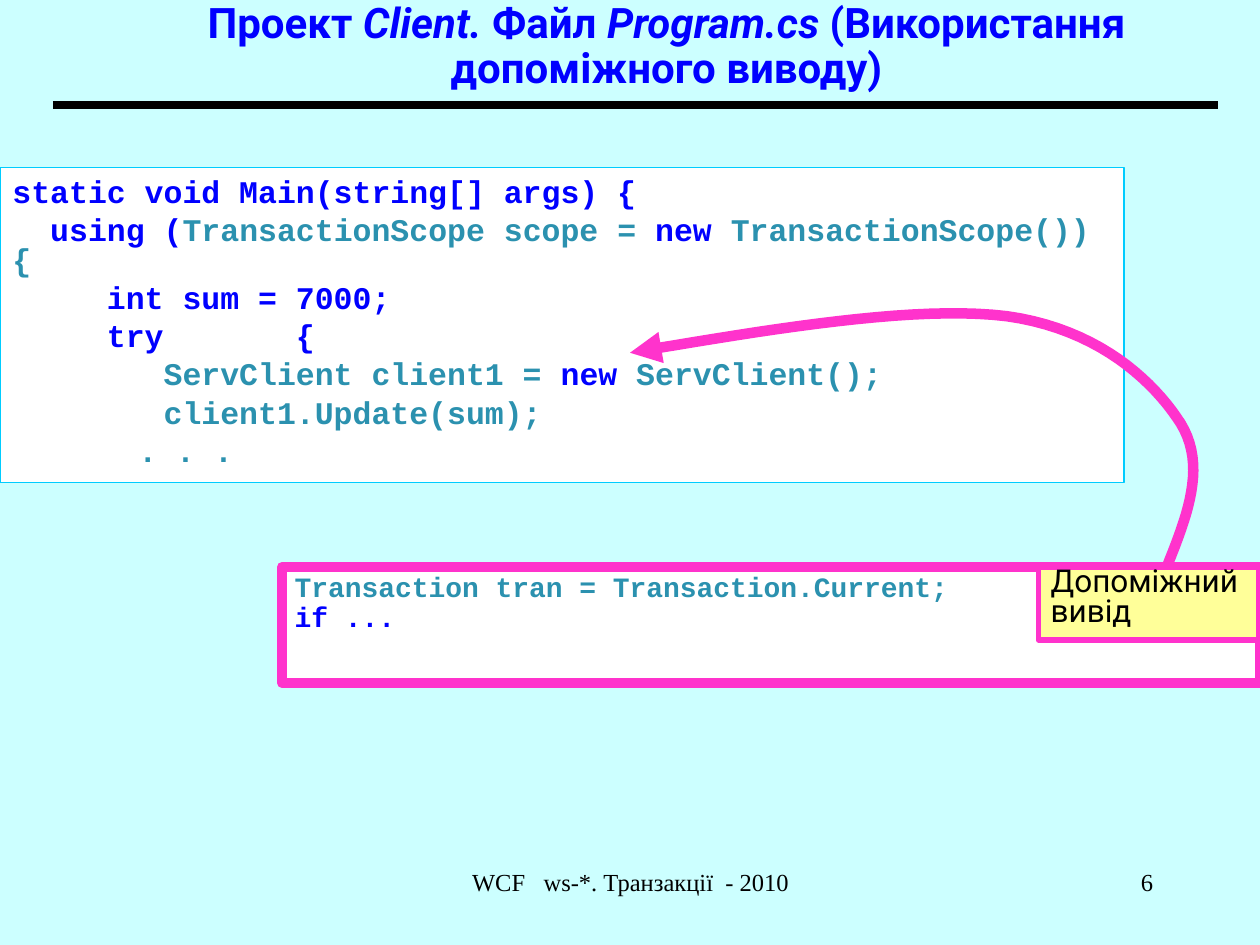
from lxml.etree import SubElement
from pptx import Presentation
from pptx.dml.color import RGBColor
from pptx.enum.shapes import MSO_CONNECTOR, MSO_SHAPE
from pptx.enum.text import MSO_ANCHOR, MSO_AUTO_SIZE, PP_ALIGN
from pptx.oxml.ns import qn
from pptx.util import Inches, Pt

BLUE, TEAL, BLACK, WHITE, PINK = "0000FF", "2B91AF", "000000", "FFFFFF", "FF33CC"

MAIN_CODE = [
    [("static void Main(string[] args) {", BLUE)],
    [("  using (", BLUE), ("TransactionScope scope = ", TEAL),
     ("new ", BLUE), ("TransactionScope()) {", TEAL)],
    [("     int sum = 7000;", BLUE)],
    [("     try       {", BLUE)],
    [("        ServClient client1 = ", TEAL), ("new ", BLUE), ("ServClient();", TEAL)],
    [("        client1.Update(sum);", TEAL)],
    [("\t\t. . .", TEAL)],
]
HELPER_CODE = [
    [("Transaction tran = Transaction.Current;", TEAL)],
    [("if ...", BLUE)],
]
TITLE = [("Проект ", False), ("Client. ", True), ("Файл", False),
         (" Program.cs ", True), ("(Використання допоміжного виводу)", False)]
ARROW_CURVES = [
    [(9.26, 4.5), (9.42, 4.1), (9.58, 3.7), (9.37, 3.36)],
    [(9.37, 3.36), (9.16, 3.03), (8.72, 2.61), (7.99, 2.51)],
    [(7.99, 2.51), (7.26, 2.42), (6.13, 2.61), (5, 2.8)],
]


def color(value):
    """Turn a hex string into a colour."""
    return RGBColor.from_string(value)


def set_line(shape, value, width):
    """Give a shape a solid outline."""
    shape.line.color.rgb = color(value)
    shape.line.width = Pt(width)


def set_frame(shape, insets=(0.1, 0.05, 0.1, 0.05), anchor=MSO_ANCHOR.TOP):
    """Wrap the text of a shape and set its insets and anchor."""
    frame = shape.text_frame
    frame.word_wrap = True
    frame.auto_size = MSO_AUTO_SIZE.NONE
    frame.vertical_anchor = anchor
    frame.margin_left, frame.margin_top, frame.margin_right, frame.margin_bottom = map(Inches, insets)
    return frame


def add_span(para, text, font, size, value, bold=False, italic=False):
    """Add one formatted run."""
    span = para.add_run()
    span.text = text
    span.font.name = font
    span.font.size = Pt(size)
    span.font.color.rgb = color(value)
    span.font.bold = bold
    span.font.italic = italic


def add_box(page, place, fill, line, width):
    """Add a filled and outlined rectangle."""
    box = page.shapes.add_shape(MSO_SHAPE.RECTANGLE, *map(Inches, place))
    box.shadow.inherit = False
    box.fill.solid()
    box.fill.fore_color.rgb = color(fill)
    set_line(box, line, width)
    return box


def add_code(page, place, lines, size, spacing, before, line, width):
    """Add a white box with coloured code."""
    box = add_box(page, place, WHITE, line, width)
    frame = set_frame(box, (0.1, 0.09, 0.1, 0.05))
    for index, spans in enumerate(lines):
        para = frame.add_paragraph() if index else frame.paragraphs[0]
        para.alignment = PP_ALIGN.LEFT
        para.line_spacing = spacing
        para.space_before = Pt(before if index else 0)
        for text, value in spans:
            add_span(para, text, "Courier New", size, value, bold=True)


def add_title(page):
    """Place and fill the title with the rule under it."""
    title = page.shapes.title
    title.left, title.top, title.width, title.height = map(Inches, (0.83, 0, 8.92, 0.75))
    para = set_frame(title, anchor=MSO_ANCHOR.MIDDLE).paragraphs[0]
    para.alignment = PP_ALIGN.CENTER
    para.line_spacing = 0.9
    para.space_before = Pt(0)
    for text, italic in TITLE:
        add_span(para, text, "Roboto", 24, BLUE, bold=True, italic=italic)
    rule = page.shapes.add_connector(
        MSO_CONNECTOR.STRAIGHT, Inches(0.42), Inches(0.83), Inches(9.67), Inches(0.83))
    set_line(rule, BLACK, 4.5)
    SubElement(rule._element.spPr, qn("a:effectLst"))


def add_label(page):
    """Add the yellow label of the helper code."""
    box = add_box(page, (8.24, 4.5, 1.75, 0.58), "FFFF99", PINK, 3)
    para = set_frame(box, (0.1, 0.01, 0.02, 0.01)).paragraphs[0]
    para.alignment = PP_ALIGN.LEFT
    para.line_spacing = 0.8
    add_span(para, "Допоміжний вивід", "Roboto", 18, BLACK)


def curve_point(curve, t):
    """Return the point of a cubic Bezier curve at t."""
    weights = ((1 - t) ** 3, 3 * t * (1 - t) ** 2, 3 * t ** 2 * (1 - t), t ** 3)
    return tuple(Inches(sum(w * point[axis] for w, point in zip(weights, curve)))
                 for axis in (0, 1))


def add_curved_arrow(page, steps=20):
    """Draw the arrow from the label to the code."""
    points = [curve_point(curve, step / steps)
              for curve in ARROW_CURVES for step in range(1, steps + 1)]
    builder = page.shapes.build_freeform(*curve_point(ARROW_CURVES[0], 0))
    builder.add_line_segments(points, close=False)
    arrow = builder.convert_to_shape()
    arrow.shadow.inherit = False
    arrow.fill.background()
    set_line(arrow, PINK, 6)
    SubElement(arrow.line._get_or_add_ln(), qn("a:tailEnd"), type="triangle")


def add_footer(page, left, width, text, alignment):
    """Add one text at the foot of the slide."""
    box = page.shapes.add_textbox(Inches(left), Inches(6.83), Inches(width), Inches(0.5))
    para = set_frame(box).paragraphs[0]
    para.alignment = alignment
    add_span(para, text, "Times New Roman", 14, BLACK)


def main():
    """Build the slide and save it."""
    deck = Presentation()
    deck.slide_width, deck.slide_height = Inches(10), Inches(7.5)
    page = deck.slides.add_slide(deck.slide_layouts[5])
    page.background.fill.solid()
    page.background.fill.fore_color.rgb = color("CCFFFF")
    add_title(page)
    add_code(page, (0, 1.33, 8.92, 2.5), MAIN_CODE, 18, 0.8, 4.5, "00CCFF", 1)
    add_code(page, (2.24, 4.5, 7.76, 0.92), HELPER_CODE, 16, 0.7, 4, PINK, 6)
    add_label(page)
    add_curved_arrow(page)
    add_footer(page, 3.42, 3.17, "WCF   ws-*. Транзакції  - 2010", PP_ALIGN.CENTER)
    add_footer(page, 7.17, 2.08, "6", PP_ALIGN.RIGHT)
    deck.save("out.pptx")


if __name__ == "__main__":
    main()
